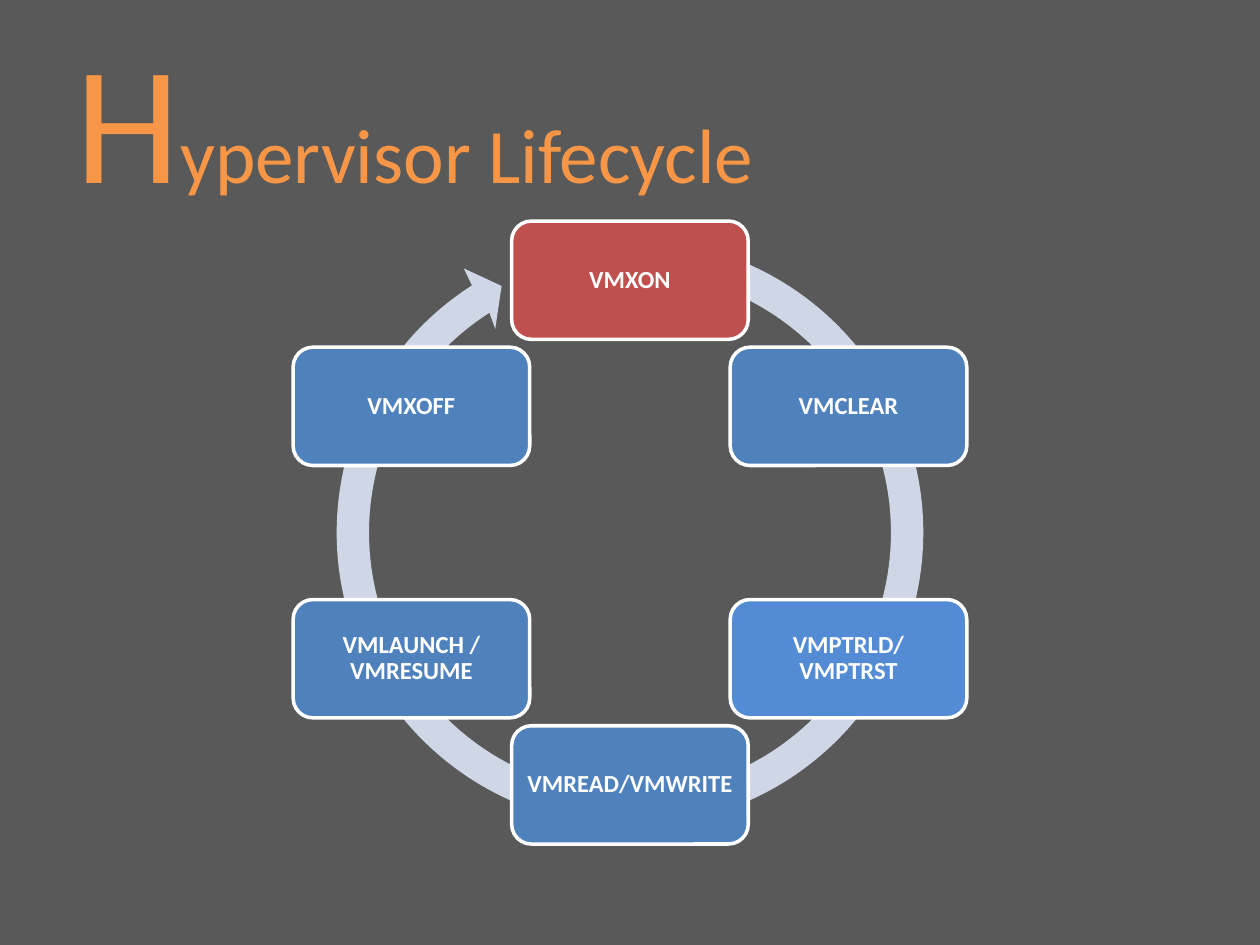
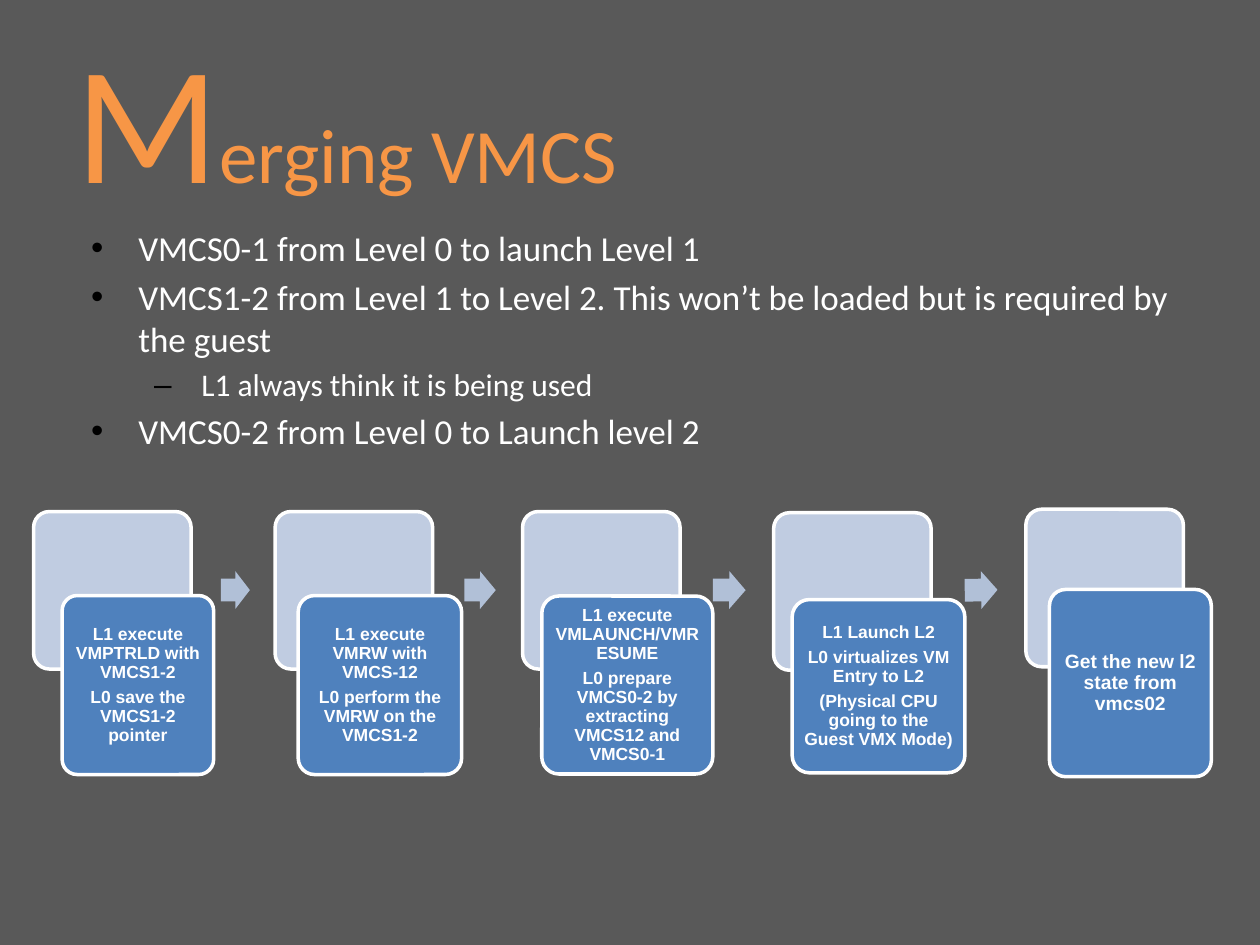
import math
from dataclasses import dataclass

from lxml import etree
from pptx import Presentation
from pptx import util as u
from pptx.dml import color as dml
from pptx.enum import shapes, text
from pptx.oxml import ns

Pt = u.Pt

# Shared style
BACKGROUND = "595959"
ACCENT = "F79646"
WHITE = "FFFFFF"
BLUE = "4F81BD"
RED = "C0504D"
BRIGHT_BLUE = "538CD5"
RING = "CFD7E7"
PLATE = "C0CCE1"
ARROW = "B1C0D7"
BULLET = "000000"
BODY_FONT = "Calibri"
STEP_FONT = "Arial"

Point = tuple[float, float]


@dataclass
class Stage:
    lines: list[str]
    fill: str = BLUE


@dataclass
class Arrow:
    left: float
    width: float
    rotation: float = 0


@dataclass
class Step:
    plate_left: float
    plate_top: float
    box: tuple[float, float, float, float]
    lines: list[str]
    size: float = 10
    inset: float = 3
    arrow: Arrow | None = None


@dataclass
class Bullet:
    words: str
    level: int = 0


def rgb(code: str) -> dml.RGBColor:
    return dml.RGBColor.from_string(code)


def add_run(paragraph, words: str, size: float, color: str,
            font: str = BODY_FONT, bold: bool = False) -> None:
    run = paragraph.add_run()
    run.text = words
    run.font.size = Pt(size)
    run.font.name = font
    run.font.bold = bold
    run.font.color.rgb = rgb(color)


def style_shape(shape, fill: str, outlined: bool = False) -> None:
    shape.shadow.inherit = False
    shape.fill.solid()
    shape.fill.fore_color.rgb = rgb(fill)
    if outlined:
        shape.line.color.rgb = rgb(WHITE)
        shape.line.width = Pt(2)
    else:
        shape.line.fill.background()


def set_insets(frame, horizontal: float, vertical: float) -> None:
    frame.margin_left = frame.margin_right = Pt(horizontal)
    frame.margin_top = frame.margin_bottom = Pt(vertical)


def add_box(slide, left: float, top: float, width: float, height: float,
            fill: str, rounding: float):
    shape = slide.shapes.add_shape(shapes.MSO_SHAPE.ROUNDED_RECTANGLE,
                                   Pt(left), Pt(top), Pt(width), Pt(height))
    shape.adjustments[0] = rounding
    style_shape(shape, fill, outlined=True)
    return shape


def write_lines(shape, lines: list[str], size: float, font: str,
                inset: float, gap: float = 0) -> None:
    frame = shape.text_frame
    frame.word_wrap = True
    frame.vertical_anchor = text.MSO_ANCHOR.MIDDLE
    set_insets(frame, inset, inset)
    for index, words in enumerate(lines):
        paragraph = frame.add_paragraph() if index else frame.paragraphs[0]
        paragraph.alignment = text.PP_ALIGN.CENTER
        paragraph.line_spacing = 0.9
        paragraph.space_before = Pt(gap if index else 0)
        add_run(paragraph, words, size, WHITE, font, bold=True)


def add_titled_slide(presentation, title: str):
    """Add a slide whose title starts with a large initial."""
    slide = presentation.slides.add_slide(presentation.slide_layouts[5])
    slide.background.fill.solid()
    slide.background.fill.fore_color.rgb = rgb(BACKGROUND)
    shape = slide.shapes.title
    shape.left, shape.top, shape.width, shape.height = Pt(36), Pt(21.6), Pt(648), Pt(90)
    frame = shape.text_frame
    frame.auto_size = text.MSO_AUTO_SIZE.NONE
    frame.word_wrap = True
    frame.vertical_anchor = text.MSO_ANCHOR.MIDDLE
    set_insets(frame, 7.2, 3.6)
    paragraph = frame.paragraphs[0]
    paragraph.alignment = text.PP_ALIGN.LEFT
    add_run(paragraph, title[0], 96, ACCENT)
    add_run(paragraph, title[1:], 44, ACCENT)
    return slide


# Cycle diagram
CENTER_X, CENTER_Y = 360, 304.3
STAGE_RADIUS = 144.2
STAGE_WIDTH, STAGE_HEIGHT = 135.2, 67.6
RING_SIZE = 355.6
RING_LEFT, RING_TOP = CENTER_X - RING_SIZE / 2, CENTER_Y - RING_SIZE / 2
OUTER_RADIUS, INNER_RADIUS = 167.6, 149.1
RING_START, RING_END = 15.4, 327.4
ARC_PIECES = 4
ARROWHEAD = [(265, 153.4), (286.6, 163.4), (283, 187.9)]


def on_circle(radius: float, degrees: float) -> Point:
    """Point on the cycle, with degrees clockwise from the top."""
    angle = math.radians(degrees)
    return CENTER_X + radius * math.sin(angle), CENTER_Y - radius * math.cos(angle)


def arc_curves(radius: float, start: float, end: float) -> list[list[Point]]:
    """Two control points and an end point for each piece of an arc."""
    sweep = (end - start) / ARC_PIECES
    reach = 4 / 3 * math.tan(math.radians(sweep / 4))
    control_radius = radius * math.hypot(1, reach)
    lean = math.degrees(math.atan(reach))
    curves = []
    for piece in range(ARC_PIECES):
        first = start + sweep * piece
        last = first + sweep
        curves.append([on_circle(control_radius, first + lean),
                       on_circle(control_radius, last - lean),
                       on_circle(radius, last)])
    return curves


def add_ring(slide) -> None:
    builder = slide.shapes.build_freeform(Pt(RING_LEFT), Pt(RING_TOP))
    builder.add_line_segments([(Pt(RING_LEFT + RING_SIZE), Pt(RING_TOP + RING_SIZE))])
    ring = builder.convert_to_shape()
    style_shape(ring, RING)

    # The curved outline replaces the builder's straight one
    outline = ring._element.find(".//" + ns.qn("a:path"))
    for child in list(outline):
        outline.remove(child)

    def draw(command: str, points: list[Point]) -> None:
        element = etree.SubElement(outline, ns.qn(command))
        for x, y in points:
            etree.SubElement(element, ns.qn("a:pt"),
                             x=str(Pt(x - RING_LEFT)), y=str(Pt(y - RING_TOP)))

    draw("a:moveTo", [on_circle(OUTER_RADIUS, RING_START)])
    for curve in arc_curves(OUTER_RADIUS, RING_START, RING_END):
        draw("a:cubicBezTo", curve)
    for corner in ARROWHEAD + [on_circle(INNER_RADIUS, RING_END)]:
        draw("a:lnTo", [corner])
    for curve in arc_curves(INNER_RADIUS, RING_END, RING_START):
        draw("a:cubicBezTo", curve)
    draw("a:close", [])


def add_cycle(slide, stages: list[Stage]) -> None:
    add_ring(slide)
    for index, stage in enumerate(stages):
        x, y = on_circle(STAGE_RADIUS, 360 / len(stages) * index)
        box = add_box(slide, x - STAGE_WIDTH / 2, y - STAGE_HEIGHT / 2,
                      STAGE_WIDTH, STAGE_HEIGHT, stage.fill, 0.167)
        write_lines(box, stage.lines, 14, BODY_FONT, 4.2)


# Bulleted text
def add_bullets(slide, bullets: list[Bullet]) -> None:
    frame = slide.shapes.add_textbox(Pt(36), Pt(126), Pt(648), Pt(356.4)).text_frame
    frame.word_wrap = True
    set_insets(frame, 7.2, 3.6)
    for index, bullet in enumerate(bullets):
        paragraph = frame.add_paragraph() if index else frame.paragraphs[0]
        paragraph.level = bullet.level
        paragraph.space_before = Pt(3.6)
        add_run(paragraph, bullet.words, 18 if bullet.level else 20, WHITE)
        properties = paragraph._p.get_or_add_pPr()
        properties.set("marL", str(Pt(36 * (bullet.level + 1))))
        properties.set("indent", str(-Pt(27)))
        color = etree.SubElement(properties, ns.qn("a:buClr"))
        etree.SubElement(color, ns.qn("a:srgbClr"), val=BULLET)
        etree.SubElement(properties, ns.qn("a:buFont"), typeface=STEP_FONT)
        etree.SubElement(properties, ns.qn("a:buChar"), char="–" if bullet.level else "•")


# Process diagram
PLATE_SIZE = 90
ARROW_TOP, ARROW_HEIGHT = 326.4, 21.6


def add_arrow(slide, arrow: Arrow) -> None:
    shape = slide.shapes.add_shape(shapes.MSO_SHAPE.RIGHT_ARROW, Pt(arrow.left),
                                   Pt(ARROW_TOP), Pt(arrow.width), Pt(ARROW_HEIGHT))
    shape.adjustments[0] = 0.6
    shape.adjustments[1] = 0.5
    shape.rotation = arrow.rotation
    style_shape(shape, ARROW)


def add_step(slide, step: Step) -> None:
    add_box(slide, step.plate_left, step.plate_top, PLATE_SIZE, PLATE_SIZE, PLATE, 0.1)
    box = add_box(slide, *step.box, BLUE, 0.1)
    write_lines(box, step.lines, step.size, STEP_FONT, step.inset, gap=3.5)
    if step.arrow:
        add_arrow(slide, step.arrow)


STAGES = [
    Stage(["VMXON"], RED),
    Stage(["VMCLEAR"]),
    Stage(["VMPTRLD/", "VMPTRST"], BRIGHT_BLUE),
    Stage(["VMREAD/VMWRITE"]),
    Stage(["VMLAUNCH / VMRESUME"]),
    Stage(["VMXOFF"]),
]

BULLETS = [
    Bullet("VMCS0-1 from Level 0 to launch Level 1"),
    Bullet("VMCS1-2 from Level 1 to Level 2. This won’t be loaded but is required by the guest"),
    Bullet("L1 always think it is being used", level=1),
    Bullet("VMCS0-2 from Level 0 to Launch level 2"),
]

STEPS = [
    Step(19.2, 292.3, (35.5, 340.3, 86.6, 102.3),
         ["L1 execute VMPTRLD with VMCS1-2", "L0 save the VMCS1-2 pointer"],
         arrow=Arrow(126.2, 16.6)),
    Step(157.2, 292.3, (170.4, 340.3, 93.4, 102.3),
         ["L1 execute VMRW with VMCS-12", "L0 perform the VMRW on the VMCS1-2"],
         arrow=Arrow(265.3, 18, 0.1)),
    Step(298.6, 292.3, (309.6, 340.6, 97.7, 101.7),
         ["L1 execute VMLAUNCH/VMRESUME",
          "L0 prepare VMCS0-2 by extracting VMCS12 and VMCS0-1"],
         arrow=Arrow(407.4, 18.7, 0.3)),
    Step(442.1, 293, (452.7, 342.6, 98.7, 99),
         ["L1 Launch L2", "L0 virtualizes VM Entry to L2",
          "(Physical CPU going to the Guest VMX Mode)"],
         arrow=Arrow(551.3, 18.7, 359.2)),
    Step(586.2, 291, (599.7, 336.8, 92.5, 107),
         ["Get the new l2 state from vmcs02"], size=11, inset=3.3),
]


def main() -> None:
    presentation = Presentation()
    presentation.slide_width, presentation.slide_height = Pt(720), Pt(540)

    add_cycle(add_titled_slide(presentation, "Hypervisor Lifecycle"), STAGES)

    merging = add_titled_slide(presentation, "Merging VMCS")
    add_bullets(merging, BULLETS)
    for step in STEPS:
        add_step(merging, step)

    presentation.save("out.pptx")


main()
